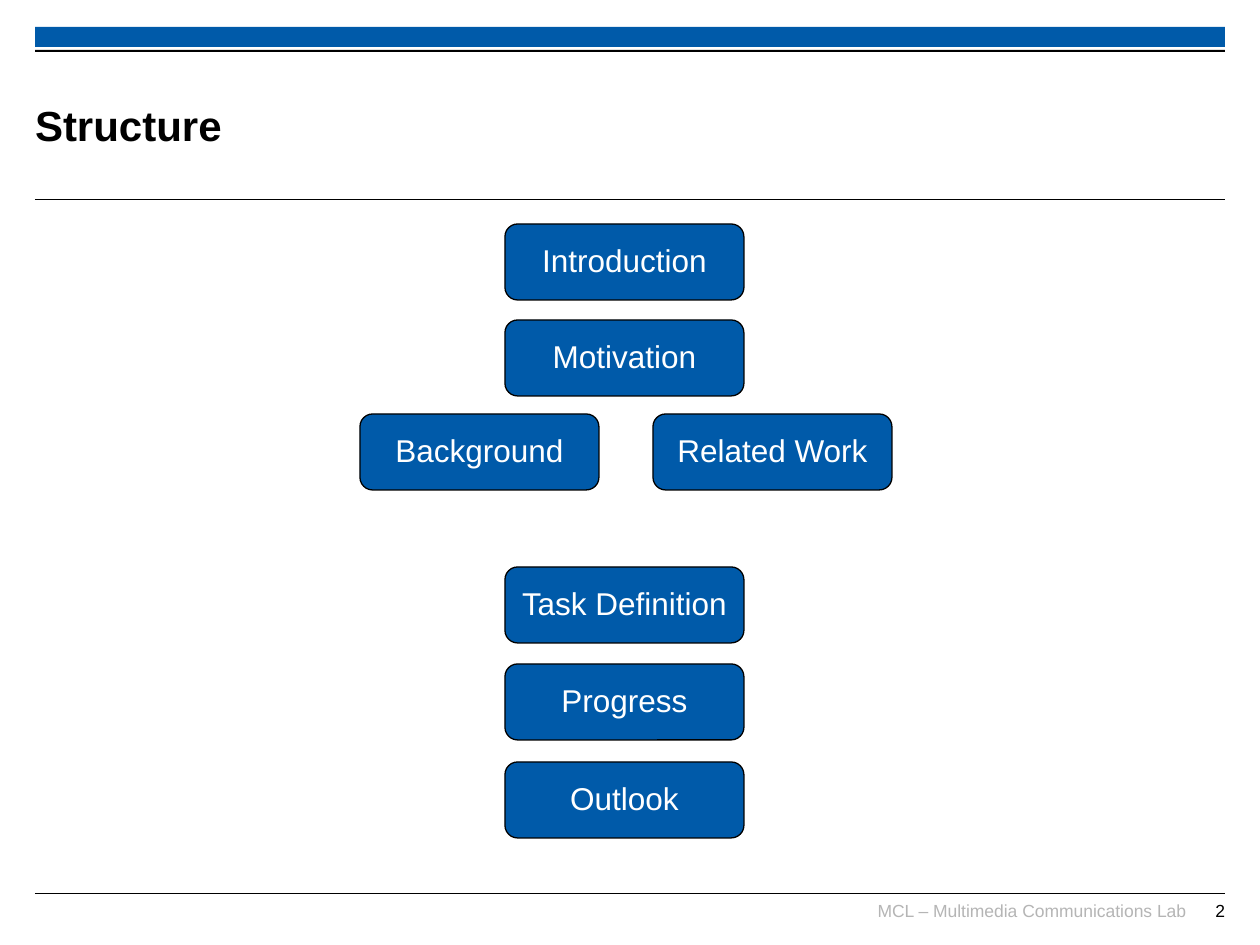
from dataclasses import dataclass

from pptx import Presentation
from pptx.dml.color import RGBColor as RGB
from pptx.enum.shapes import MSO_CONNECTOR as CONN, MSO_SHAPE as SHAPE
from pptx.enum.text import MSO_ANCHOR as ANCHOR, PP_ALIGN as ALIGN
from pptx.oxml.ns import qn
from pptx.util import Emu, Pt


@dataclass(frozen=True)
class Theme:
    """Colours, font and type sizes of the slide."""
    blue: RGB = RGB(0x00, 0x5A, 0xA9)
    black: RGB = RGB(0, 0, 0)
    white: RGB = RGB(0xFF, 0xFF, 0xFF)
    grey: RGB = RGB(0xB5, 0xB5, 0xB5)
    font: str = "Arial"
    title: int = 24
    box: int = 18
    footer: int = 10


THEME = Theme()
LEFT, WIDTH = 35, 1190
BOX_W, BOX_H = 239, 76
CENTRE, SIDE = 505, (360, 653)
TOPICS = [
    ("Introduction", CENTRE, 224),
    ("Motivation", CENTRE, 320),
    ("Background", SIDE[0], 414),
    ("Related Work", SIDE[1], 414),
    ("Task Definition", CENTRE, 567),
    ("Progress", CENTRE, 664),
    ("Outlook", CENTRE, 762),
]


def px(n):
    """Turn pixels at 126 to the inch into EMU."""
    return Emu(round(n * 914400 / 126))


def write(sp, text, size, color, align, bold=False):
    """Fill a shape with one formatted paragraph."""
    tf = sp.text_frame
    tf.margin_left = tf.margin_right = tf.margin_top = tf.margin_bottom = 0
    p = tf.paragraphs[0]
    p.text, p.alignment = text, align
    p.font.name, p.font.size, p.font.bold = THEME.font, Pt(size), bold
    p.font.color.rgb = color
    return p


def add_bar(s, y, h, color):
    """Draw a solid bar across the slide."""
    sp = s.shapes.add_shape(SHAPE.RECTANGLE, px(LEFT), px(y), px(WIDTH), px(h))
    sp.shadow.inherit = False
    sp.fill.solid()
    sp.fill.fore_color.rgb = color
    sp.line.fill.background()


def add_rule(s, y):
    """Draw a thin line across the slide."""
    c = s.shapes.add_connector(CONN.STRAIGHT, px(LEFT), px(y), px(LEFT + WIDTH), px(y))
    c.line.color.rgb, c.line.width = THEME.black, Pt(0.6)
    sp_pr = c._element.spPr
    sp_pr.append(sp_pr.makeelement(qn("a:effectLst"), {}))


def add_title(s, text):
    """Place and format the title placeholder."""
    sp = s.shapes.title
    sp.left, sp.top, sp.width, sp.height = px(LEFT), px(67), px(948), px(116)
    sp.text_frame.vertical_anchor = ANCHOR.MIDDLE
    write(sp, text, THEME.title, THEME.black, ALIGN.LEFT, bold=True)


def add_topic(s, text, x, y):
    """Draw a rounded box that names a topic."""
    sp = s.shapes.add_shape(SHAPE.ROUNDED_RECTANGLE, px(x), px(y), px(BOX_W), px(BOX_H))
    sp.shadow.inherit = False
    sp.fill.solid()
    sp.fill.fore_color.rgb = THEME.blue
    sp.line.color.rgb, sp.line.width = THEME.black, Pt(0.75)
    sp.text_frame.word_wrap = False
    sp.text_frame.vertical_anchor = ANCHOR.MIDDLE
    write(sp, text, THEME.box, THEME.white, ALIGN.CENTER).line_spacing = 0.93


def add_footer(s, text, x, w, color):
    """Add right-aligned footer text."""
    sp = s.shapes.add_textbox(px(x), px(900), px(w), px(31))
    sp.text_frame.word_wrap = True
    write(sp, text, THEME.footer, color, ALIGN.RIGHT)


def main():
    """Build and save the slide."""
    prs = Presentation()
    prs.slide_width, prs.slide_height = px(1260), px(945)
    s = prs.slides.add_slide(prs.slide_layouts[5])
    add_bar(s, 27, 20, THEME.blue)
    add_bar(s, 50, 2, THEME.black)
    for y in (200, 894):
        add_rule(s, y)
    add_title(s, "Structure")
    for topic in TOPICS:
        add_topic(s, *topic)
    add_footer(s, "MCL – Multimedia Communications Lab", 858, 328, THEME.grey)
    add_footer(s, "2", 1171, 54, THEME.black)
    prs.save("out.pptx")


if __name__ == "__main__":
    main()
